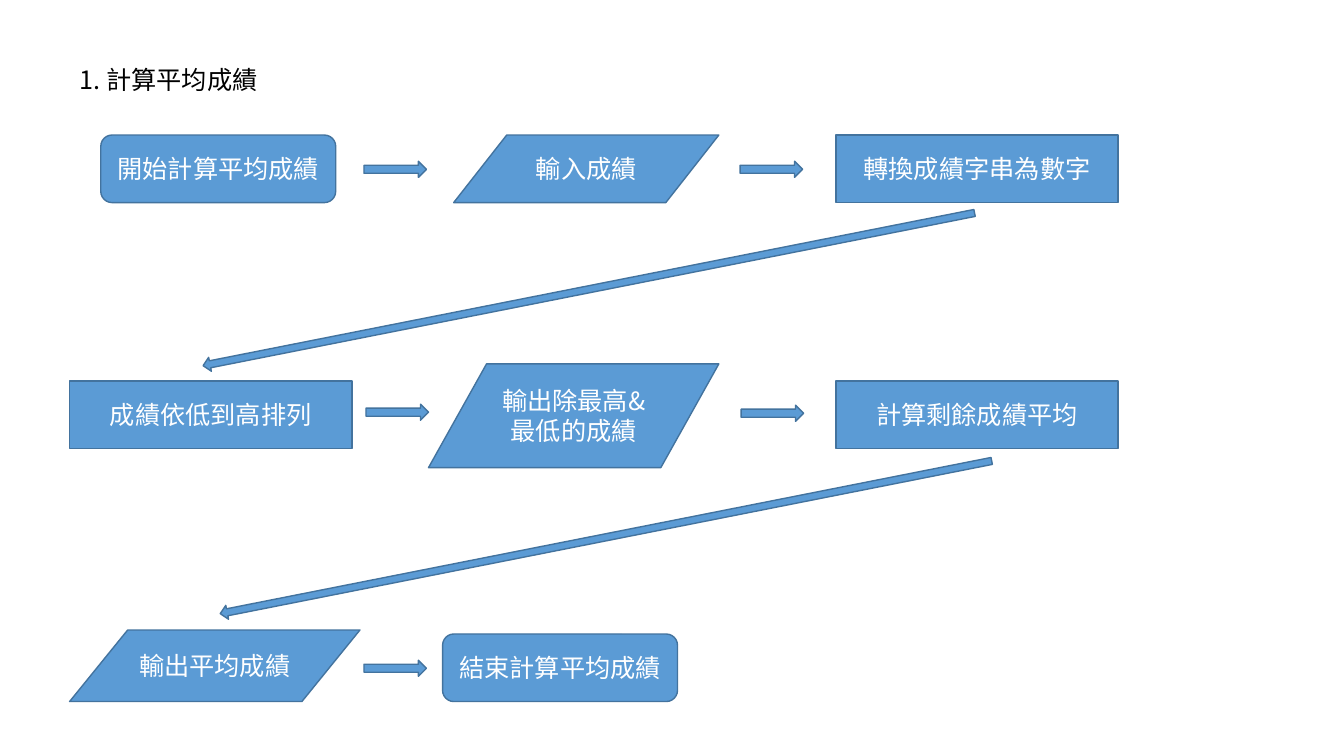
from lxml import etree
from pptx import Presentation
from pptx.dml.color import RGBColor
from pptx.enum.shapes import MSO_SHAPE
from pptx.enum.text import MSO_ANCHOR, MSO_AUTO_SIZE, PP_ALIGN
from pptx.oxml.ns import qn
from pptx.util import Inches, Pt

ROUND = MSO_SHAPE.FLOWCHART_ALTERNATE_PROCESS
STEP = MSO_SHAPE.FLOWCHART_PROCESS
DATA = MSO_SHAPE.FLOWCHART_DATA
ARROW = MSO_SHAPE.RIGHT_ARROW
LEFT, CENTER = PP_ALIGN.LEFT, PP_ALIGN.CENTER
TOP, MIDDLE = MSO_ANCHOR.TOP, MSO_ANCHOR.MIDDLE

FONT = "Noto Sans CJK SC"
COLORS = {"fill": "5B9BD5", "line": "43739E", "light": "FFFFFF", "dark": "000000"}


def write(shape, text, color="light", align=CENTER, anchor=MIDDLE, size=18):
    frame = shape.text_frame
    frame.word_wrap = True
    frame.auto_size = MSO_AUTO_SIZE.NONE
    frame.vertical_anchor = anchor
    para = frame.paragraphs[0]
    para.alignment = align
    run = para.add_run()
    run.text = text
    run.font.size = Pt(size)
    run.font.name = FONT
    run.font.color.rgb = RGBColor.from_string(COLORS[color])
    # East Asian glyphs use the same font
    etree.SubElement(run.font._element, qn("a:ea"), typeface=FONT)


def draw(kind, left, top, width, height):
    shape = slide.shapes.add_shape(
        kind, Inches(left), Inches(top), Inches(width), Inches(height))
    shape.shadow.inherit = False
    shape.fill.solid()
    shape.fill.fore_color.rgb = RGBColor.from_string(COLORS["fill"])
    shape.line.color.rgb = RGBColor.from_string(COLORS["line"])
    shape.line.width = Pt(1)
    return shape


prs = Presentation()
prs.slide_width, prs.slide_height = Inches(13.33), Inches(7.5)
slide = prs.slides.add_slide(prs.slide_layouts[5])

# Title
title = slide.shapes.title
title.left, title.top = Inches(0.69), Inches(0.59)
title.width, title.height = Inches(1.98), Inches(0.4)
write(title, "1. 計算平均成績", color="dark", align=LEFT, anchor=TOP)

# Steps of the flow, row by row
steps = [
    (ROUND, 1, 1.34, 2.33, 0.67, "開始計算平均成績"),
    (DATA, 4.5, 1.34, 2.63, 0.67, "輸入成績"),
    (STEP, 8.29, 1.34, 2.8, 0.67, "轉換成績字串為數字"),
    (STEP, 0.69, 3.78, 2.8, 0.67, "成績依低到高排列"),
    (DATA, 4.25, 3.61, 2.88, 1.03, "輸出除最高&最低的成績"),
    (STEP, 8.29, 3.78, 2.8, 0.67, "計算剩餘成績平均"),
    (DATA, 0.69, 6.25, 2.88, 0.71, "輸出平均成績"),
    (ROUND, 4.39, 6.29, 2.33, 0.67, "結束計算平均成績"),
]
for kind, left, top, width, height, text in steps:
    write(draw(kind, left, top, width, height), text)

# Short arrows within a row
for left, top in [(3.61, 1.6), (7.34, 1.6), (3.63, 4.01), (7.35, 4.02), (3.61, 6.55)]:
    draw(ARROW, left, top, 0.62, 0.16)

# Long arrows back to the start of the next row
for left, top in [(1.94, 2.8), (2.11, 5.26)]:
    draw(ARROW, left, top, 7.8, 0.14).rotation = 168.8

prs.save("out.pptx")
